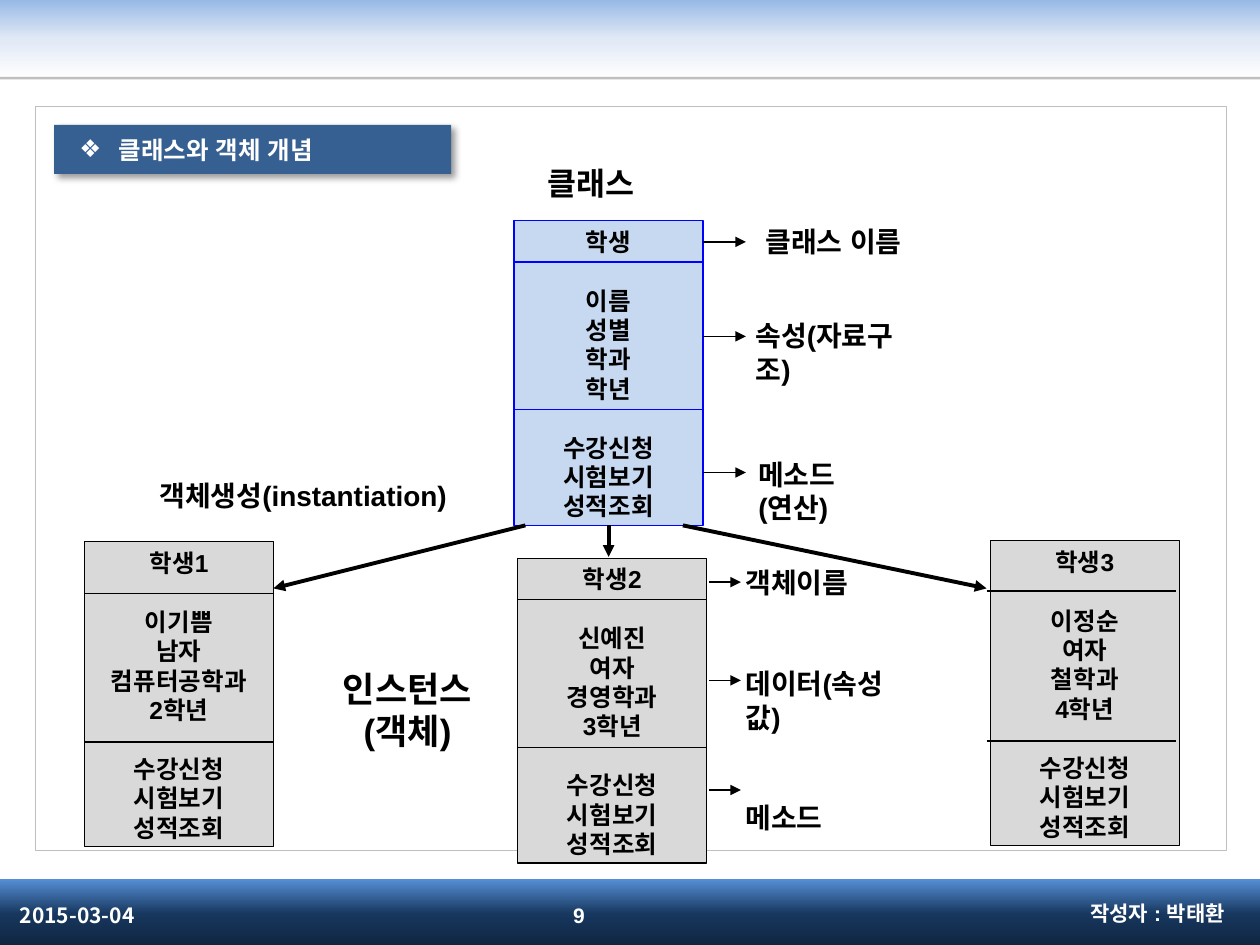
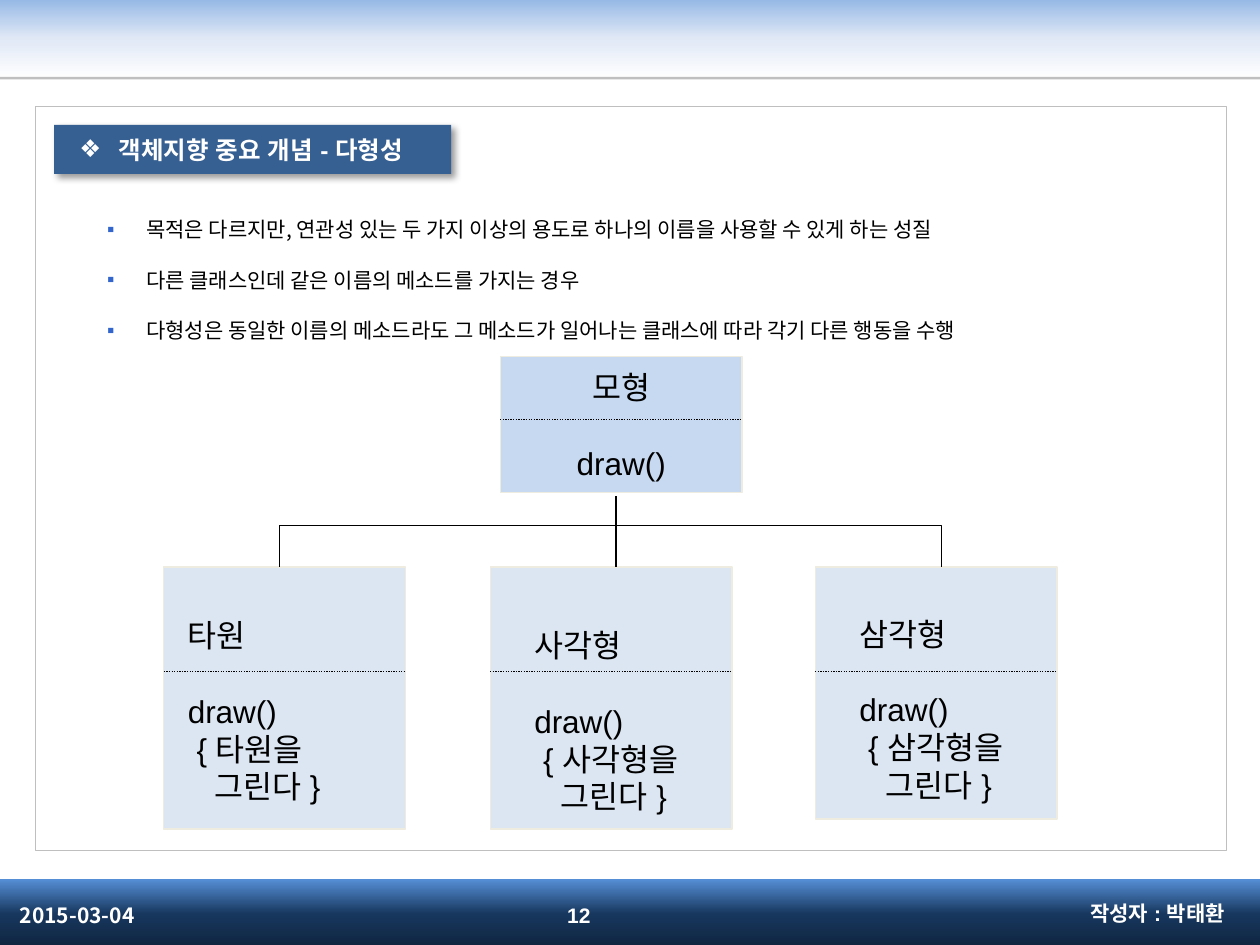
"""Build two slides on classes, objects and polymorphism."""
from dataclasses import dataclass

from lxml.etree import SubElement
from pptx import Presentation
from pptx.dml.color import RGBColor
from pptx.enum.dml import MSO_LINE
from pptx.enum.shapes import MSO_CONNECTOR, MSO_SHAPE
from pptx.enum.text import MSO_ANCHOR, MSO_AUTO_SIZE, PP_ALIGN
from pptx.oxml.ns import qn
from pptx.util import Inches, Pt


@dataclass(frozen=True)
class Theme:
    """Colours, fonts and type sizes."""
    black: str = "000000"
    white: str = "FFFFFF"
    gray: str = "BFBFBF"
    bar: str = "376092"
    edge: str = "0000FF"
    blue: str = "C6D9F1"
    pale: str = "DCE6F2"
    cream: str = "EEECE1"
    silver: str = "D9D9D9"
    mark: str = "3366CC"
    sky: tuple = ("8EB4E3", "E0E8F6", "FFFFFF")
    sea: tuple = ("558ED5", "17375E", "0F243E")
    sans: str = "Arial"
    noto: str = "Noto Sans CJK KR"
    small: int = 12
    base: int = 14
    label: int = 16
    large: int = 18
    huge: int = 20


T = Theme()


def paint(item, fill=None, line=None, weight=0.75, dash=None, head=False):
    """Set fill, line, arrowhead and no shadow on a shape or connector."""
    if fill:
        item.fill.solid()
        item.fill.fore_color.rgb = RGBColor.from_string(fill)
    elif hasattr(item, "fill"):
        item.fill.background()
    if line:
        item.line.color.rgb = RGBColor.from_string(line)
        item.line.width = Pt(weight)
        if dash:
            item.line.dash_style = dash
        if head:
            SubElement(item.line._get_or_add_ln(), qn("a:tailEnd"), type="triangle")
    else:
        item.line.fill.background()
    SubElement(item.element.spPr, qn("a:effectLst"))
    return item


def write(shape, *text, size=T.base, bold=True, color=T.black, font=T.sans,
          align=PP_ALIGN.LEFT, anchor=MSO_ANCHOR.TOP, inset=(0.1, 0.05),
          gaps=(), pads=(), bullet=None, tint=None, pitch=1.2):
    """Write paragraphs; gaps lists those that follow an open space."""
    frame = shape.text_frame
    frame.word_wrap = True
    frame.auto_size = MSO_AUTO_SIZE.NONE
    frame.vertical_anchor = anchor
    frame.margin_left, frame.margin_top = map(Inches, inset)
    frame.margin_right, frame.margin_bottom = Inches(0.1), Inches(0.05)
    for i, words in enumerate(text):
        para = frame.paragraphs[0] if i == 0 else frame.add_paragraph()
        para.alignment = align
        para.line_spacing = Pt(size * pitch)
        para.space_before = Pt(size * pitch * gaps.count(i))
        run = para.add_run()
        run.text = words
        run.font.size = Pt(size)
        run.font.bold = bold
        run.font.color.rgb = RGBColor.from_string(color)
        run.font.name = font
        SubElement(run.font._element, qn("a:ea"), typeface=font)
        props = para._p.get_or_add_pPr()
        if pads:
            props.set("marL", str(Inches(pads[i])))
        if bullet:
            props.set("marL", str(Inches(0.31)))
            props.set("indent", str(Inches(-0.31)))
            hue = SubElement(props, qn("a:buClr"))
            SubElement(hue, qn("a:srgbClr"), val=tint or color)
            SubElement(props, qn("a:buFont"), typeface=T.sans)
            SubElement(props, qn("a:buChar"), char=bullet)


prs = Presentation()
prs.slide_width, prs.slide_height = Inches(10), Inches(7.5)

pages = []
for layout, title, page in ((5, "클래스와 객체 개념", "9"),
                            (1, "객체지향 중요 개념 - 다형성", "12")):
    slide = prs.slides.add_slide(prs.slide_layouts[layout])
    pages.append(slide.shapes)
    bar = slide.shapes.title
    bar.left, bar.top, bar.width, bar.height = map(Inches, (0.43, 0.99, 3.15, 0.39))
    paint(bar, T.bar)
    glow = SubElement(bar.element.spPr.find(qn("a:effectLst")), qn("a:outerShdw"),
                      blurRad=str(Pt(4)), dist=str(Pt(3)), dir="2700000",
                      algn="tl", rotWithShape="0")
    shade = SubElement(glow, qn("a:srgbClr"), val=T.black)
    SubElement(shade, qn("a:alpha"), val="40000")
    write(bar, title, color=T.white, anchor=MSO_ANCHOR.MIDDLE,
          inset=(0.2, 0.05), bullet="❖")
    for words, x, y, w, align, font in (
            ("작성자 : 박태환", 6.65, 7.05, 3.17, PP_ALIGN.RIGHT, T.sans),
            ("2015-03-04", 0.06, 7.06, 2.33, PP_ALIGN.LEFT, T.noto),
            (page, 3.43, 7.06, 2.33, PP_ALIGN.CENTER, T.sans)):
        note = slide.shapes.add_textbox(*map(Inches, (x, y, w, 0.4)))
        write(note, words, size=T.small, color=T.white, font=font,
              align=align, anchor=MSO_ANCHOR.MIDDLE)

first, second = pages

tree = prs.slide_master.shapes.element
for i, (area, fill, line) in enumerate((
        ((-0.04, -0.03, 10.04, 0.66), T.sky, None),
        ((-0.04, 6.98, 10.04, 0.55), T.sea, None),
        ((0, 0.61, 10, 0.02), T.gray, None),
        ((0.28, 0.84, 9.45, 5.91), None, T.gray))):
    band = first.add_shape(MSO_SHAPE.RECTANGLE, *map(Inches, area))
    if isinstance(fill, tuple):
        paint(band, fill[0])
        band.fill.gradient()
        band.fill.gradient_angle = 270
        stops = band.element.spPr.find(".//" + qn("a:gsLst"))
        stops.clear()
        for n, hue in enumerate(fill):
            stop = SubElement(stops, qn("a:gs"), pos=str(n * 50000))
            SubElement(stop, qn("a:srgbClr"), val=hue)
    else:
        paint(band, fill, line, weight=0.25)
    band.element.nvSpPr.cNvPr.set("id", str(50 + i))
    tree.insert(2 + i, band.element)

deeds = ("수강신청", "시험보기", "성적조회")
for x, y, shift, rows, fill, edge, facts in (
        (4.08, 1.75, 0, (0.33, 1.5), T.blue, T.edge,
         ("학생", "이름", "성별", "학과", "학년")),
        (0.67, 4.3, 0, (0.41, 1.59), T.silver, T.black,
         ("학생1", "이기쁨", "남자", "컴퓨터공학과", "2학년")),
        (4.11, 4.43, 0, (0.33, 1.5), T.silver, T.black,
         ("학생2", "신예진", "여자", "경영학과", "3학년")),
        (7.86, 4.29, -0.03, (0.4, 1.59), T.silver, T.black,
         ("학생3", "이정순", "여자", "철학과", "4학년"))):
    card = first.add_shape(MSO_SHAPE.RECTANGLE, *map(Inches, (x, y, 1.5, 2.42)))
    paint(card, fill, edge)
    write(card, *facts, *deeds, align=PP_ALIGN.CENTER, gaps=(1, 5))
    for row in rows:
        ends = (x + shift, y + row, x + shift + 1.5, y + row)
        paint(first.add_connector(MSO_CONNECTOR.STRAIGHT, *map(Inches, ends)), line=edge)

thin = [(5.58, y, 5.92, y, 0.75) for y in (1.92, 2.67, 3.75)]
thin += [(5.63, y, 5.88, y, 0.75) for y in (4.62, 5.4, 6.27)]
thick = [(4.17, 4.17, 2.17, 4.67, 2.25), (4.83, 4.17, 4.83, 4.42, 2.25),
         (5.42, 4.17, 7.83, 4.67, 2.25)]
for *ends, weight in thin + thick:
    arrow = first.add_connector(MSO_CONNECTOR.STRAIGHT, *map(Inches, ends))
    paint(arrow, line=T.black, weight=weight, head=True)

for area, text, style in (
        ((5.98, 1.73, 1.5, 0.37), ("클래스 이름",), {}),
        ((5.9, 2.48, 1.5, 0.64), ("속성(자료구조)",), {}),
        ((5.92, 3.58, 1.28, 0.64), ("메소드(연산)",), {}),
        ((1.17, 3.75, 2.8, 0.37), ("객체생성(instantiation)",), {}),
        ((5.82, 4.44, 1.5, 2.25), ("객체이름", "데이터(속성값)", "메소드"),
         {"gaps": (1, 1, 2, 2)}),
        ((2.58, 5.25, 1.31, 0.77), ("인스턴스", "(객체)"),
         {"size": T.huge, "align": PP_ALIGN.CENTER}),
        ((4.25, 1.25, 1.2, 0.5), ("클래스",), {"size": T.large, "font": T.noto})):
    note = first.add_textbox(*map(Inches, area))
    write(note, *text, **{"size": T.label, **style})

body = second.placeholders[1]
body.left, body.top, body.width, body.height = map(Inches, (0.75, 1.47, 8.9, 1.35))
write(body, "목적은 다르지만, 연관성 있는 두 가지 이상의 용도로 하나의 이름을 사용할 수 있게 하는 성질",
      "다른 클래스인데 같은 이름의 메소드를 가지는 경우",
      "다형성은 동일한 이름의 메소드라도 그 메소드가 일어나는 클래스에 따라 각기 다른 행동을 수행",
      size=T.small, bold=False, font=T.noto, bullet="▪", tint=T.mark, pitch=2.4)

model = second.add_shape(MSO_SHAPE.RECTANGLE, *map(Inches, (3.97, 2.83, 1.92, 1.08)))
paint(model, T.blue, T.cream)
write(model, "모형", "draw()", size=T.large, bold=False, align=PP_ALIGN.CENTER,
      anchor=MSO_ANCHOR.MIDDLE, gaps=(1,))

dots = [(3.97, 3.33)]
for x, h, inset, name in ((1.3, 2.08, (0.19, 0.39), "타원"),
                          (3.89, 2.08, (0.35, 0.47), "사각형"),
                          (6.47, 2, (0.35, 0.38), "삼각형")):
    card = second.add_shape(MSO_SHAPE.RECTANGLE, *map(Inches, (x, 4.5, 1.92, h)))
    paint(card, T.pale, T.cream)
    write(card, name, "draw()", f"{{ {name}을", "그린다 }", size=T.large, bold=False,
          inset=inset, gaps=(1,), pads=(0, 0, 0.07, 0.21))
    dots.append((x, 5.33))

for x, y in dots:
    rule = second.add_connector(MSO_CONNECTOR.STRAIGHT, *map(Inches, (x, y, x + 1.92, y)))
    paint(rule, line=T.black, dash=MSO_LINE.ROUND_DOT)

fork = second.build_freeform(Inches(2.22), Inches(4.5))
fork.add_line_segments([(Inches(x), Inches(y)) for x, y in
                        ((2.22, 4.17), (7.47, 4.17), (7.47, 4.5))], close=False)
paint(fork.convert_to_shape(), line=T.black)
stem = second.add_connector(MSO_CONNECTOR.STRAIGHT, *map(Inches, (4.89, 3.94, 4.89, 4.5)))
paint(stem, line=T.black)

prs.save("out.pptx")
